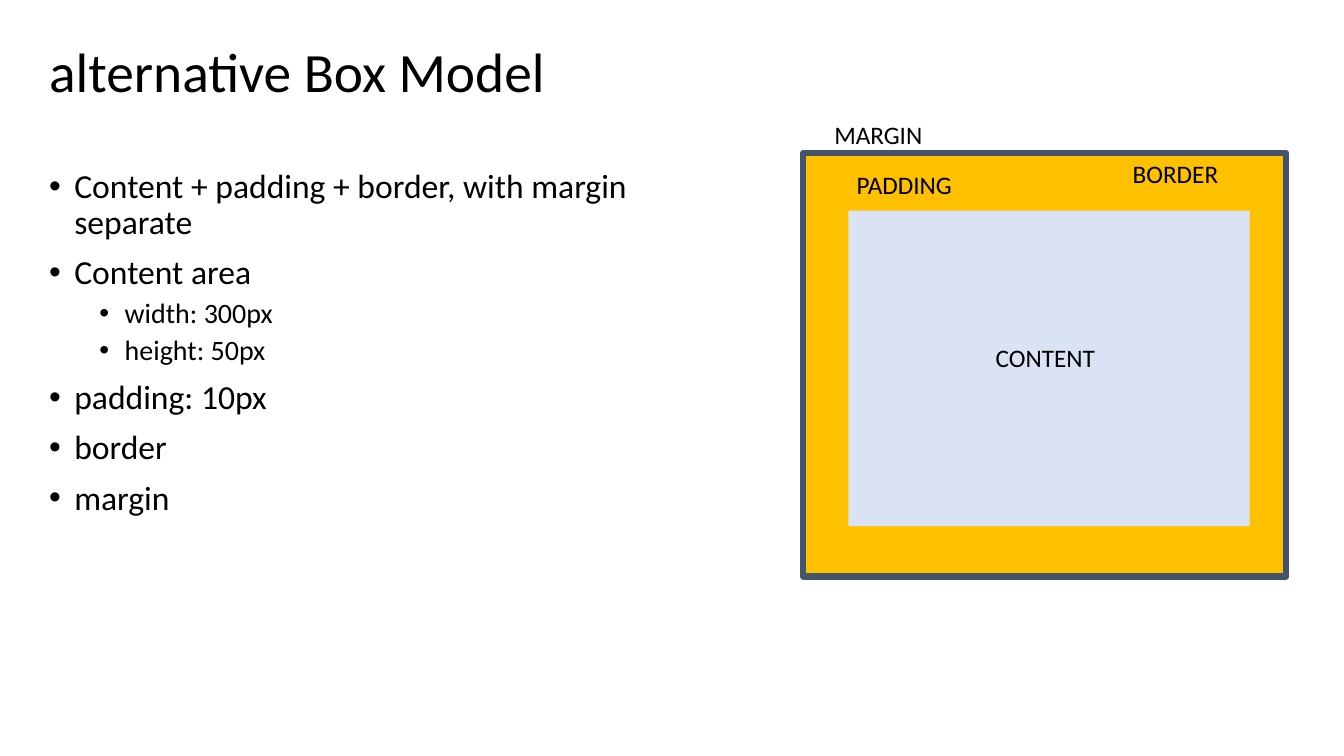
from lxml import etree
from pptx import Presentation
from pptx.dml.color import RGBColor
from pptx.enum.shapes import MSO_SHAPE
from pptx.enum.text import MSO_ANCHOR
from pptx.oxml.ns import qn
from pptx.util import Pt

RECTANGLE = MSO_SHAPE.RECTANGLE
TOP, MIDDLE = MSO_ANCHOR.TOP, MSO_ANCHOR.MIDDLE

BLACK = RGBColor(0x00, 0x00, 0x00)
PADDING_GOLD = RGBColor(0xFF, 0xC0, 0x00)
BORDER_SLATE = RGBColor(0x44, 0x54, 0x6A)
CONTENT_BLUE = RGBColor(0xDA, 0xE3, 0xF3)

FONT = "Calibri"
INDENT = 18
# Per outline level: font size, space before, left margin
LEVEL_STYLES = [(24, 10, INDENT), (20, 5, 3 * INDENT)]

OUTLINE = [
    (0, "Content + padding + border, with margin separate"),
    (0, "Content area"),
    (1, "width: 300px"),
    (1, "height: 50px"),
    (0, "padding: 10px"),
    (0, "border"),
    (0, "margin"),
]

# Label positions relative to the border box
LABELS = [
    ("MARGIN", 15, -28),
    ("BORDER", 228.2, 0),
    ("PADDING", 31, 8),
    ("CONTENT", 130.3, 131.8),
]


def add_text(frame, text, size, level=0, line_spacing=None, space_before=None):
    """Write text into the empty first paragraph, or into a new one."""
    paragraph = frame.paragraphs[0]
    if paragraph.runs:
        paragraph = frame.add_paragraph()
    paragraph.level = level
    paragraph.line_spacing = line_spacing
    if space_before is not None:
        paragraph.space_before = Pt(space_before)
    run = paragraph.add_run()
    run.text = text
    run.font.name = FONT
    run.font.size = Pt(size)
    run.font.color.rgb = BLACK
    return paragraph


def add_frame(slide, left, top, width, height, anchor=TOP):
    box = slide.shapes.add_textbox(Pt(left), Pt(top), Pt(width), Pt(height))
    frame = box.text_frame
    frame.word_wrap = True
    frame.vertical_anchor = anchor
    return frame


def add_bullet(paragraph, margin):
    properties = paragraph._p.get_or_add_pPr()
    properties.set("marL", str(Pt(margin)))
    properties.set("indent", str(Pt(-INDENT)))
    etree.SubElement(properties, qn("a:buFont"), typeface="Arial")
    etree.SubElement(properties, qn("a:buChar"), char="•")


def add_rectangle(slide, left, top, width, height, fill, line=None):
    rectangle = slide.shapes.add_shape(
        RECTANGLE, Pt(left), Pt(top), Pt(width), Pt(height))
    rectangle.shadow.inherit = False
    rectangle.fill.solid()
    rectangle.fill.fore_color.rgb = fill
    if line is None:
        rectangle.line.fill.background()
    else:
        rectangle.line.color.rgb = line
        rectangle.line.width = Pt(4.5)


def add_title(slide, left, top, width, height):
    frame = add_frame(slide, left, top, width, height, anchor=MIDDLE)
    add_text(frame, "alternative Box Model", 39.6, line_spacing=0.9)


def add_outline(slide, left, top, width, height):
    frame = add_frame(slide, left, top, width, height)
    for level, text in OUTLINE:
        size, space_before, margin = LEVEL_STYLES[level]
        paragraph = add_text(frame, text, size, level=level,
                             line_spacing=0.9, space_before=space_before)
        add_bullet(paragraph, margin)


def add_box_model(slide, left, top, width, height):
    """Draw the border box, the content area inside it and their labels."""
    add_rectangle(slide, left, top, width, height, PADDING_GOLD, BORDER_SLATE)
    add_rectangle(slide, left + 32.2, top + 41, width - 58.3, height - 77,
                  CONTENT_BLUE)
    for text, offset_x, offset_y in LABELS:
        frame = add_frame(slide, left + offset_x, top + offset_y, 90, 29)
        add_text(frame, text, 18)


def main():
    presentation = Presentation()
    presentation.slide_width = Pt(960)
    presentation.slide_height = Pt(540)
    slide = presentation.slides.add_slide(presentation.slide_layouts[6])
    add_title(slide, 28, 11, 397, 85)
    add_outline(slide, 28, 117.4, 496, 281.5)
    add_box_model(slide, 573.8, 109.4, 345, 302.4)
    presentation.save("out.pptx")


if __name__ == "__main__":
    main()
